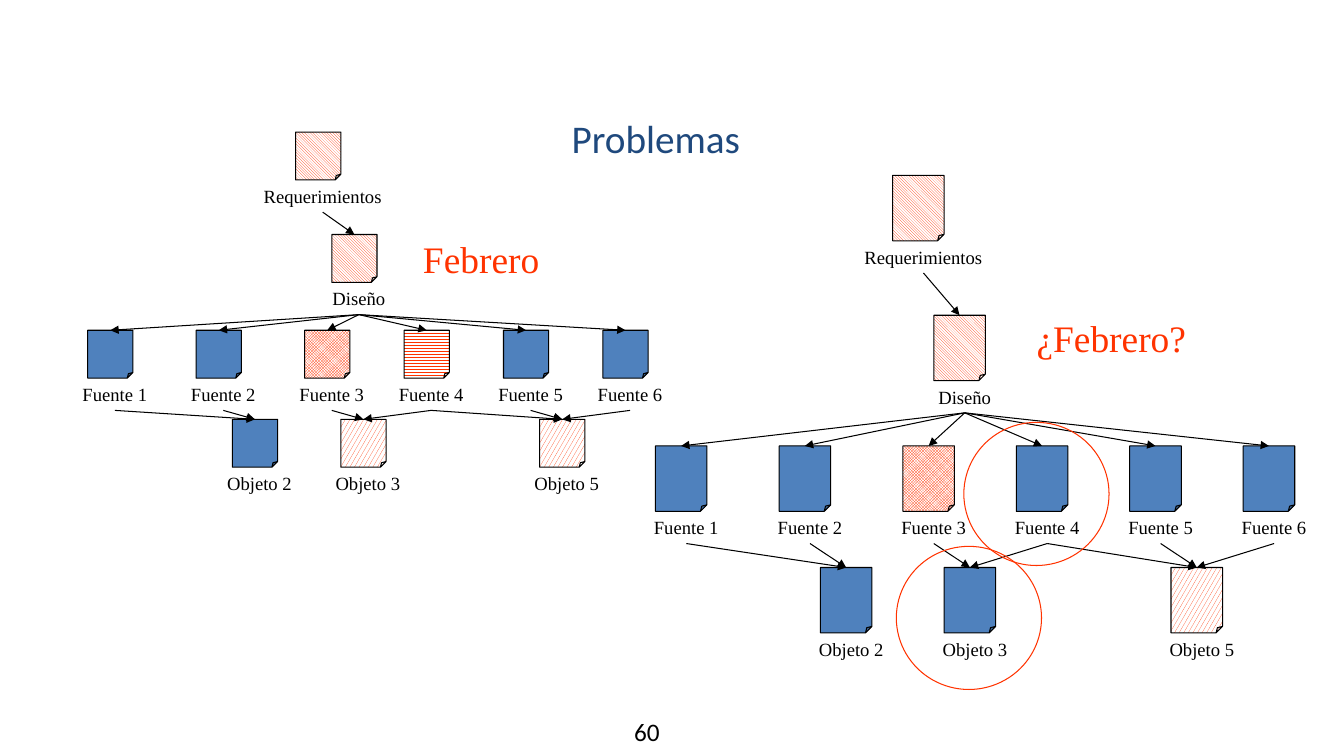
"""Build the slide "Problemas": two dependency trees of files, side by side."""
from lxml.etree import SubElement
from pptx import Presentation
from pptx.dml.color import RGBColor
from pptx.enum.dml import MSO_PATTERN_TYPE
from pptx.enum.shapes import MSO_CONNECTOR, MSO_SHAPE
from pptx.enum.text import PP_ALIGN
from pptx.oxml.ns import qn
from pptx.util import Inches, Pt

BLACK = RGBColor(0x00, 0x00, 0x00)
WHITE = RGBColor(0xFF, 0xFF, 0xFF)
RED = RGBColor(0xFF, 0x33, 0x00)
BLUE = RGBColor(0x4F, 0x81, 0xBD)
NAVY = RGBColor(0x1F, 0x49, 0x7D)
SERIF = "Times New Roman"

DIAG = MSO_PATTERN_TYPE.DARK_DOWNWARD_DIAGONAL
CHECK = MSO_PATTERN_TYPE.SMALL_CHECKER_BOARD
ZIGZAG = MSO_PATTERN_TYPE.ZIG_ZAG
SPECKS = MSO_PATTERN_TYPE.LARGE_CONFETTI

# name: column in file widths, row in file heights
NODES = {
    "Requerimientos": (4.6, 0),
    "Diseño": (5.4, 2.14),
    "Fuente 1": (0, 4.14),
    "Fuente 2": (2.4, 4.14),
    "Fuente 3": (4.8, 4.14),
    "Fuente 4": (7, 4.14),
    "Fuente 5": (9.2, 4.14),
    "Fuente 6": (11.4, 4.14),
    "Objeto 2": (3.2, 6),
    "Objeto 3": (5.6, 6),
    "Objeto 5": (10, 6),
}
LINKS = [("Requerimientos", "Diseño")]
LINKS += [("Diseño", f"Fuente {i}") for i in range(1, 7)]
LINKS += [(f"Fuente {i}", f"Objeto {j}")
          for i, j in [(1, 2), (2, 2), (3, 3), (4, 3), (4, 5), (5, 5), (6, 5)]]

BASE = {"Requerimientos": DIAG, "Diseño": DIAG, "Fuente 3": CHECK, "Objeto 5": SPECKS}
# title, left, top, span of columns, span of rows, patterns
TREES = [
    ("¿Febrero?", 6.5, 1.74, 5.83, 3.89, BASE),
    ("Febrero", 0.87, 1.31, 5.11, 2.85, {**BASE, "Fuente 4": ZIGZAG, "Objeto 3": SPECKS}),
]
RINGS = [(8.89, 5.42), (9.56, 4.19)]

deck = Presentation()
deck.slide_width, deck.slide_height = Inches(13.33), Inches(7.5)
slide = deck.slides.add_slide(deck.slide_layouts[5])
shapes = slide.shapes


def write(text, left, top, width, height, size, font, color, align=PP_ALIGN.LEFT):
    box = shapes.add_textbox(Inches(left), Inches(top), Inches(width), Inches(height))
    box.text_frame.word_wrap = align == PP_ALIGN.CENTER
    para = box.text_frame.paragraphs[0]
    para.text, para.alignment = text, align
    para.font.size, para.font.name = Pt(size), font
    para.font.color.rgb = color
    return box


def draw(kind, left, top, width, height, color):
    shape = shapes.add_shape(kind, Inches(left), Inches(top), Inches(width), Inches(height))
    shape.shadow.inherit = False
    shape.line.color.rgb, shape.line.width = color, Pt(0.75)
    return shape


title = shapes.title
title.left, title.top = Inches(0.84), Inches(1.08)
title.width, title.height = Inches(11.33), Inches(0.58)
head = title.text_frame.paragraphs[0]
head.text, head.alignment = "Problemas", PP_ALIGN.CENTER
head.font.size, head.font.name = Pt(28), "Calibri"
head.font.color.rgb = NAVY
write("60", 6.19, 7.06, 0.64, 0.4, 18, "Calibri", BLACK)

for name, left, top, across, down, marks in TREES:
    wide, high = across / 11.4, down / 6
    files, labels = {}, {}
    for node, (col, row) in NODES.items():
        x, y = left + col * wide, top + row * high
        file = draw(MSO_SHAPE.FOLDED_CORNER, x, y, wide, high, BLACK)
        fold = file._element.spPr.find(qn("a:prstGeom")).get_or_add_avLst()
        SubElement(fold, qn("a:gd"), name="adj", fmla="val 12500")
        if node in marks:
            file.fill.patterned()
            file.fill.pattern = marks[node]
            file.fill.fore_color.rgb, file.fill.back_color.rgb = RED, WHITE
        else:
            file.fill.solid()
            file.fill.fore_color.rgb = BLUE
        files[node] = file
        labels[node] = write(node, x - 1.2 * wide, y + high, 3.6 * wide, 0.32,
                             13.3, SERIF, BLACK, PP_ALIGN.CENTER)
    for start, end in LINKS:
        link = shapes.add_connector(MSO_CONNECTOR.STRAIGHT, 0, 0, 0, 0)
        link.begin_connect(labels[start], 2)
        link.end_connect(files[end], 0)
        link.line.color.rgb, link.line.width = BLACK, Pt(0.75)
        SubElement(link.line._get_or_add_ln(), qn("a:tailEnd"), type="triangle")
        SubElement(link._element.spPr, qn("a:effectLst"))
    write(name, left + 7.2 * wide, top + 2.07 * high, 1.7, 0.55, 26.7, SERIF, RED)

for x, y in RINGS:
    draw(MSO_SHAPE.OVAL, x, y, 1.44, 1.42, RED).fill.background()

deck.save("out.pptx")
